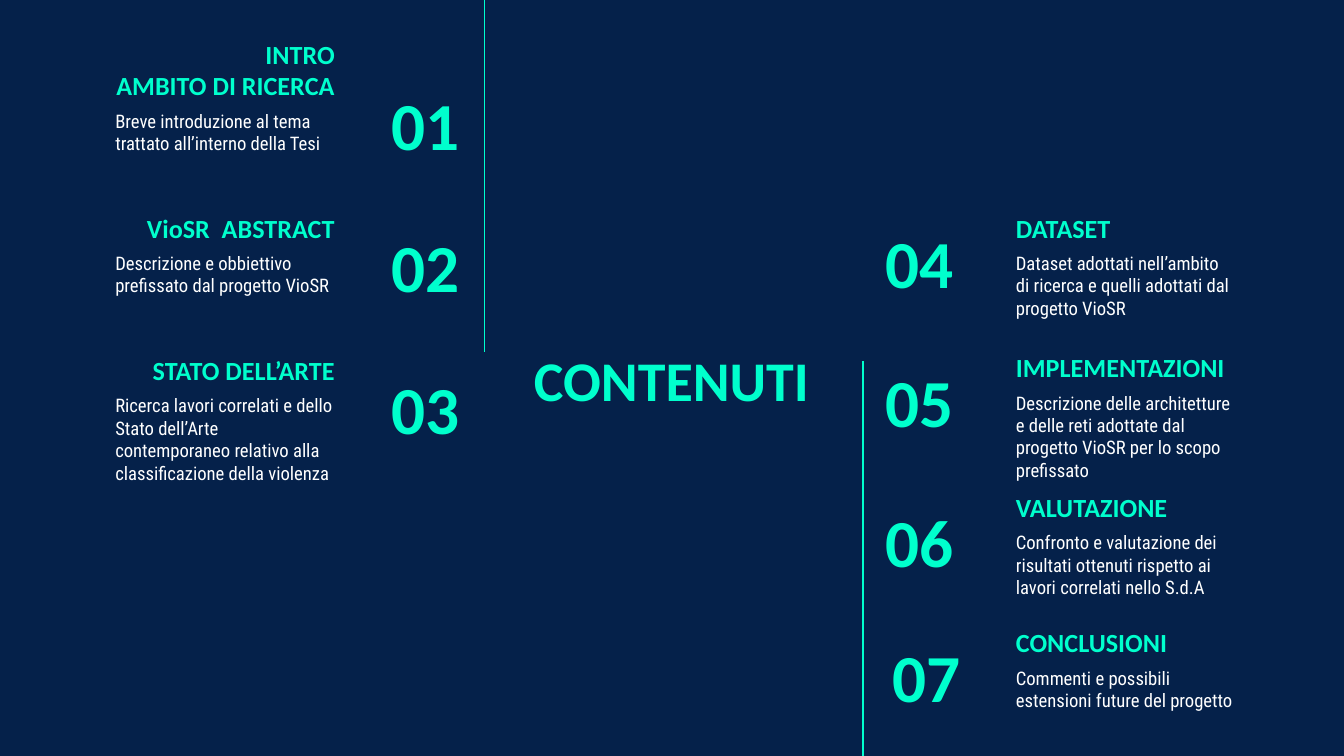
from lxml import etree
from pptx import Presentation
from pptx.dml.color import RGBColor
from pptx.enum import shapes, text
from pptx.oxml.ns import qn
from pptx.util import Cm, Pt

NAVY = RGBColor(0x05, 0x21, 0x4A)
MINT = RGBColor(0x00, 0xFF, 0xCD)
WHITE = RGBColor(0xFF, 0xFF, 0xFF)
HEADING_FONT, BODY_FONT = "Calibri", "Roboto Condensed"
LEFT, RIGHT, CENTER = text.PP_ALIGN.LEFT, text.PP_ALIGN.RIGHT, text.PP_ALIGN.CENTER
TOP, MIDDLE, BOTTOM = text.MSO_ANCHOR.TOP, text.MSO_ANCHOR.MIDDLE, text.MSO_ANCHOR.BOTTOM
BOX_HEIGHT = 1.6
BODY_OFFSET = 1.26  # from the top of a heading to the top of its description

# Heading top (cm), number, heading, description
LEFT_ENTRIES = [
    (0.56, "01", "INTRO\nAMBITO DI RICERCA",
     "Breve introduzione al tema trattato all’interno della Tesi"),
    (3.25, "02", "VioSR  ABSTRACT",
     "Descrizione e obbiettivo prefissato dal progetto VioSR"),
    (5.94, "03", "STATO DELL’ARTE",
     "Ricerca lavori correlati e dello Stato dell’Arte contemporaneo "
     "relativo alla classificazione della violenza"),
]
RIGHT_ENTRIES = [
    (3.25, "04", "DATASET",
     "Dataset adottati nell’ambito di ricerca e quelli adottati dal progetto VioSR"),
    (5.89, "05", "IMPLEMENTAZIONI",
     "Descrizione delle architetture e delle reti adottate dal progetto VioSR "
     "per lo scopo prefissato"),
    (8.53, "06", "VALUTAZIONE",
     "Confronto e valutazione dei risultati ottenuti rispetto ai lavori "
     "correlati nello S.d.A"),
]
LAST_ENTRY = (11.09, "07", "CONCLUSIONI",
              "Commenti e possibili estensioni future del progetto")


def write(box, words, size, align, anchor, font=HEADING_FONT, color=MINT, bold=True):
    frame = box.text_frame
    frame.word_wrap = True
    frame.auto_size = text.MSO_AUTO_SIZE.NONE
    frame.vertical_anchor = anchor
    frame.margin_left = frame.margin_right = Cm(0.25)
    frame.margin_top = frame.margin_bottom = Cm(0.25)
    para = frame.paragraphs[0]
    para.text = words  # a newline becomes a line break
    para.alignment = align
    para.font.name, para.font.size = font, Pt(size)
    para.font.bold, para.font.color.rgb = bold, color


def add_text(page, left, top, width, words, size, align, anchor, **style):
    box = page.shapes.add_textbox(Cm(left), Cm(top), Cm(width), Cm(BOX_HEIGHT))
    write(box, words, size, align, anchor, **style)


def add_entry(page, entry, align, number_left, number_offset, heading_left, body_left):
    top, number, heading, description = entry
    add_text(page, heading_left, top, 5.49, heading, 14, align, BOTTOM)
    add_text(page, body_left, top + BODY_OFFSET, 4.65, description, 10, LEFT, TOP,
             font=BODY_FONT, color=WHITE, bold=False)
    add_text(page, number_left, top + number_offset, 2.08, number, 36, align, MIDDLE)


def add_vertical_line(page, x, top, bottom):
    line = page.shapes.add_connector(
        shapes.MSO_CONNECTOR.STRAIGHT, Cm(x), Cm(top), Cm(x), Cm(bottom))
    line.line.color.rgb = MINT
    line.line.width = Pt(0.75)
    etree.SubElement(line.element.spPr, qn("a:effectLst"))


def main():
    deck = Presentation()
    deck.slide_width, deck.slide_height = Cm(25.4), Cm(14.29)
    page = deck.slides.add_slide(deck.slide_layouts[5])
    page.background.fill.solid()
    page.background.fill.fore_color.rgb = NAVY

    # Title
    title = page.shapes.title
    title.left, title.top, title.width, title.height = Cm(9.4), Cm(5.85), Cm(6.58), Cm(2.62)
    write(title, "CONTENUTI", 30, CENTER, MIDDLE)

    # Dividers
    add_vertical_line(page, 9.16, 0, 6.65)
    add_vertical_line(page, 16.31, 6.83, 14.29)

    # Contents on either side; the last number sits slightly apart
    for entry in LEFT_ENTRIES:
        add_entry(page, entry, RIGHT, 6.85, 0.97, 1.09, 1.93)
    for entry in RIGHT_ENTRIES:
        add_entry(page, entry, LEFT, 16.48, 0.89, 18.95, 18.95)
    add_entry(page, LAST_ENTRY, LEFT, 16.61, 0.89, 18.95, 18.95)

    deck.save("out.pptx")


if __name__ == "__main__":
    main()
